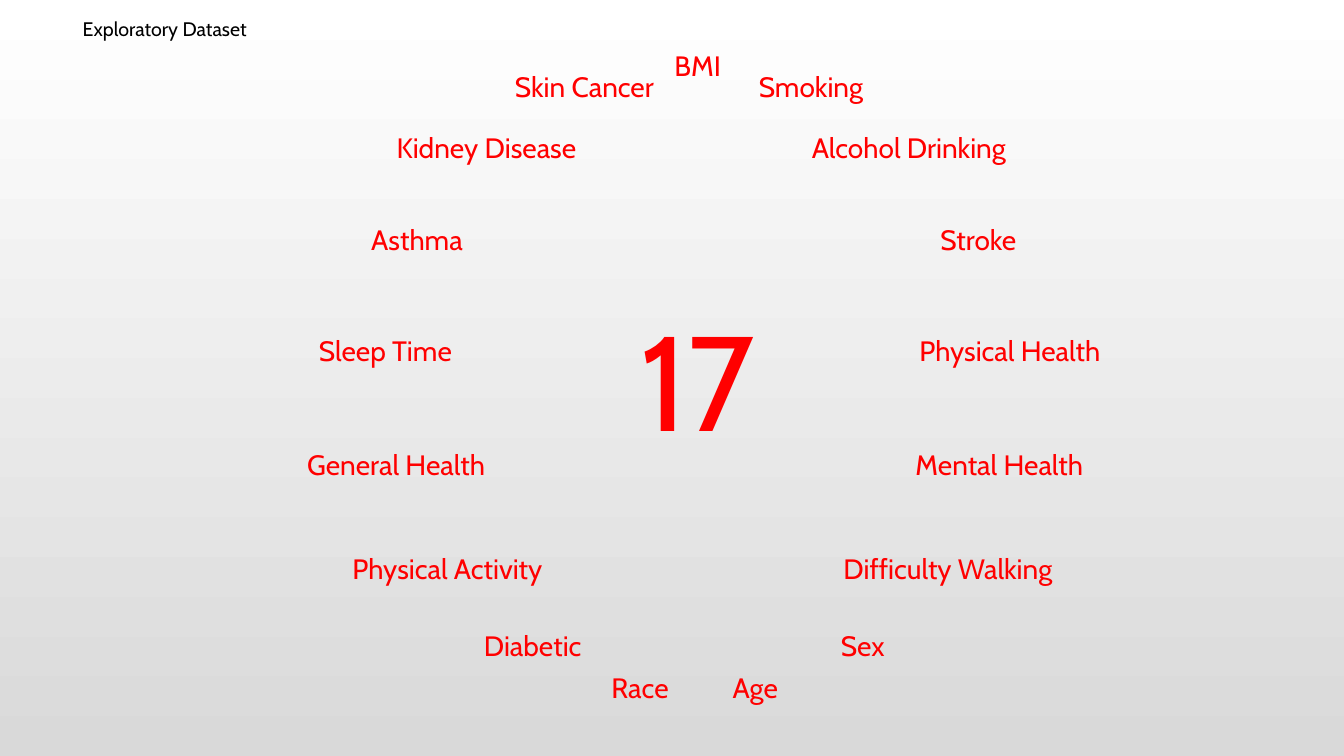
from math import cos, pi, sin

from pptx import Presentation
from pptx.dml.color import RGBColor
from pptx.enum.text import MSO_ANCHOR, MSO_AUTO_SIZE, PP_ALIGN
from pptx.util import Inches, Pt

LEFT, CENTER = PP_ALIGN.LEFT, PP_ALIGN.CENTER
MIDDLE, NO_FIT = MSO_ANCHOR.MIDDLE, MSO_AUTO_SIZE.NONE

TITLE = "Exploratory Dataset"
# Variable and box width in inches, clockwise from the top
VARIABLES = [
    ("BMI", 0.54),
    ("Smoking", 2.15),
    ("Alcohol Drinking", 3.12),
    ("Stroke", 1.17),
    ("Physical Health", 2.73),
    ("Mental Health", 2.95),
    ("Difficulty Walking", 4.48),
    ("Sex", 0.54),
    ("Age", 0.54),
    ("Race", 0.96),
    ("Diabetic", 1.55),
    ("Physical Activity", 1.99),
    ("General Health", 1.93),
    ("Sleep Time", 2.84),
    ("Asthma", 2.19),
    ("Kidney Disease", 2.39),
    ("Skin Cancer", 2.24),
]

SLIDE_WIDTH, SLIDE_HEIGHT = 13.33, 7.5
RING_X, RING_Y, RING_RADIUS = 6.92, 3.78, 3.11
LABEL_HEIGHT, LABEL_INSET = 0.54, 0.03
COUNT_WIDTH, COUNT_HEIGHT = 5.73, 4.96
FONT = "Cabin"
RED, BLACK = "FF0000", "000000"
GRADIENT = ["D9D9D9", "FFFFFF"]


def color(hex_code):
    return RGBColor.from_string(hex_code)


def write(shape, text, size, ink=RED, align=CENTER, before=0, spacing=1.0, inset=None):
    frame = shape.text_frame
    frame.word_wrap = True
    frame.auto_size = NO_FIT
    frame.vertical_anchor = MIDDLE
    if inset is not None:
        frame.margin_left = frame.margin_right = Inches(inset)
        frame.margin_top = frame.margin_bottom = Inches(inset)
    paragraph = frame.paragraphs[0]
    paragraph.alignment = align
    paragraph.space_before = Pt(before)
    paragraph.line_spacing = spacing
    run = paragraph.add_run()
    run.text = text
    run.font.name = FONT
    run.font.size = Pt(size)
    run.font.color.rgb = color(ink)


def add_centered_box(slide, x, y, width, height):
    return slide.shapes.add_textbox(
        Inches(x - width / 2), Inches(y - height / 2), Inches(width), Inches(height)
    )


def paint_background(slide):
    fill = slide.background.fill
    fill.gradient()
    fill.gradient_angle = 90
    for stop, hex_code in zip(fill.gradient_stops, GRADIENT):
        stop.color.rgb = color(hex_code)


def add_title(slide):
    title = slide.shapes.title
    title.left, title.top = Inches(0.72), Inches(0.11)
    title.width, title.height = Inches(7.6), Inches(0.34)
    write(title, TITLE, 14, ink=BLACK, align=LEFT, before=18)


def add_ring(slide):
    step = 2 * pi / len(VARIABLES)
    for index, (variable, width) in enumerate(VARIABLES):
        x = RING_X + RING_RADIUS * sin(index * step)
        y = RING_Y - RING_RADIUS * cos(index * step)
        label = add_centered_box(slide, x, y, width, LABEL_HEIGHT)
        write(label, variable, 20, spacing=0.9, inset=LABEL_INSET)


def main():
    deck = Presentation()
    deck.slide_width, deck.slide_height = Inches(SLIDE_WIDTH), Inches(SLIDE_HEIGHT)
    slide = deck.slides.add_slide(deck.slide_layouts[5])
    paint_background(slide)
    add_title(slide)
    add_ring(slide)
    count = add_centered_box(slide, RING_X, RING_Y - 0.03, COUNT_WIDTH, COUNT_HEIGHT)
    write(count, str(len(VARIABLES)), 96, before=18)
    deck.save("out.pptx")


if __name__ == "__main__":
    main()
